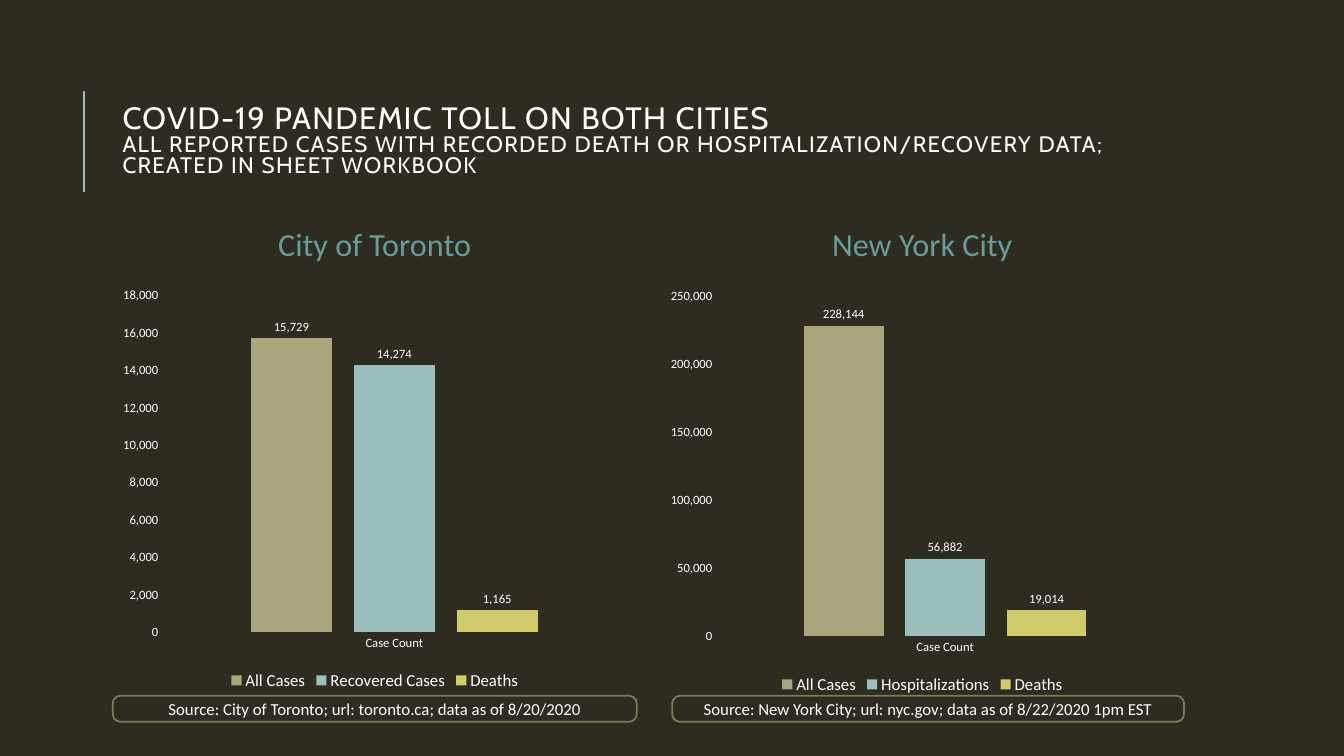
from dataclasses import dataclass

from lxml.etree import SubElement
from pptx import Presentation
from pptx.chart.data import CategoryChartData as Data
from pptx.dml.color import RGBColor as Rgb
from pptx.enum.chart import XL_CHART_TYPE as Kind
from pptx.enum.chart import XL_LABEL_POSITION as Spot
from pptx.enum.chart import XL_LEGEND_POSITION as Side
from pptx.enum.chart import XL_TICK_MARK as Tick
from pptx.enum.shapes import MSO_CONNECTOR as Link
from pptx.enum.shapes import MSO_SHAPE as Form
from pptx.enum.text import MSO_ANCHOR as Anchor
from pptx.enum.text import PP_ALIGN as Align
from pptx.oxml.ns import qn
from pptx.slide import Slide
from pptx.text.text import Font
from pptx.util import Cm, Pt

COLORS = {
    "back": "2E2B21",
    "text": "FFFFFF",
    "head": "689C9A",
    "frame": "7D7A5C",
    "sand": "A9A57C",
    "mist": "9CBEBD",
    "lime": "D2CB6C",
}
BARS = ("sand", "mist", "lime")
WIDTH = 13.21
COMMAS = "#,##0"


@dataclass
class Box:
    left: float
    top: float
    width: float
    height: float

    def lengths(self) -> tuple:
        return Cm(self.left), Cm(self.top), Cm(self.width), Cm(self.height)


@dataclass
class City:
    name: str
    left: float
    tall: float
    peak: int
    step: int
    counts: dict[str, int]
    source: str
    frame: Box


CITIES = [
    City("City of Toronto", 2.84, 10.44, 18000, 2000,
         {"All Cases": 15729, "Recovered Cases": 14274, "Deaths": 1165},
         "Source: City of Toronto; url: toronto.ca; data as of 8/20/2020",
         Box(2.84, 17.53, WIDTH, 0.66)),
    City("New York City", 16.64, 10.54, 250000, 50000,
         {"All Cases": 228144, "Hospitalizations": 56882, "Deaths": 19014},
         "Source: New York City; url: nyc.gov; data as of 8/22/2020 1pm EST",
         Box(16.94, 17.53, 12.9, 0.66)),
]


def tint(name: str) -> Rgb:
    return Rgb.from_string(COLORS[name])


def style(font: Font, size: float, color: str = "text", face: str = "Calibri") -> None:
    font.size = Pt(size)
    font.name = face
    font.bold = False
    font.color.rgb = tint(color)


def add_title(slide: Slide) -> None:
    frame = slide.shapes.add_textbox(*Box(2.84, 2.26, 27, 2.62).lengths()).text_frame
    frame.word_wrap = True
    frame.vertical_anchor = Anchor.MIDDLE
    para = frame.paragraphs[0]
    para.text = ("COVID-19 PANDEMIC TOLL ON BOTH CITIES\v"
                 "ALL REPORTED CASES WITH RECORDED DEATH OR "
                 "HOSPITALIZATION/RECOVERY DATA; CREATED IN SHEET WORKBOOK")
    para.line_spacing = 0.8
    for run, size in zip(para.runs, (22, 16)):
        style(run.font, size, face="Cabin")
        run.font._element.set("spc", "100")


def add_rule(slide: Slide) -> None:
    rule = slide.shapes.add_connector(Link.STRAIGHT, Cm(2.11), Cm(4.83), Cm(2.11), Cm(2.29))
    rule.line.color.rgb = tint("mist")
    rule.line.width = Pt(1.5)
    SubElement(rule._element.spPr, qn("a:effectLst"))


def add_head(slide: Slide, city: City) -> None:
    frame = slide.shapes.add_textbox(*Box(city.left, 5.05, WIDTH, 2.29).lengths()).text_frame
    frame.word_wrap = True
    frame.vertical_anchor = Anchor.MIDDLE
    frame.margin_left = frame.margin_right = Cm(0.38)
    para = frame.paragraphs[0]
    para.text = city.name
    para.alignment = Align.CENTER
    para.line_spacing = 0.9
    style(para.runs[0].font, 23, "head")


def add_source(slide: Slide, city: City) -> None:
    shape = slide.shapes.add_shape(Form.ROUNDED_RECTANGLE, *city.frame.lengths())
    shape.adjustments[0] = 0.3
    shape.shadow.inherit = False
    shape.fill.background()
    shape.line.color.rgb = tint("frame")
    shape.line.width = Pt(1.25)
    frame = shape.text_frame
    frame.word_wrap = True
    frame.vertical_anchor = Anchor.MIDDLE
    para = frame.paragraphs[0]
    para.text = city.source
    para.alignment = Align.CENTER
    style(para.runs[0].font, 12)


def add_bars(slide: Slide, city: City) -> None:
    data = Data(number_format=COMMAS)
    data.categories = ["Case Count"]
    for name, count in city.counts.items():
        data.add_series(name, [count])
    place = Box(city.left, 7.06, WIDTH, city.tall)
    chart = slide.shapes.add_chart(Kind.COLUMN_CLUSTERED, *place.lengths(), data).chart
    style(chart.font, 10)
    chart.has_title = False
    chart.has_legend = True
    chart.legend.position = Side.BOTTOM
    chart.legend.include_in_layout = False
    style(chart.legend.font, 12)
    for axis in (chart.category_axis, chart.value_axis):
        axis.major_tick_mark = axis.minor_tick_mark = Tick.NONE
        axis.has_major_gridlines = False
        axis.format.line.fill.background()
        style(axis.tick_labels.font, 9)
    scale = chart.value_axis
    scale.minimum_scale = 0
    scale.maximum_scale = city.peak
    scale.major_unit = city.step
    scale.tick_labels.number_format = COMMAS
    scale.tick_labels.number_format_is_linked = False
    plot = chart.plots[0]
    plot.gap_width = 219
    plot.overlap = -27
    plot.vary_by_categories = False
    for bar, color in zip(plot.series, BARS):
        bar.format.fill.solid()
        bar.format.fill.fore_color.rgb = tint(color)
        bar.invert_if_negative = False
        labels = bar.data_labels
        labels.show_value = True
        labels.number_format = COMMAS
        labels.number_format_is_linked = False
        labels.position = Spot.OUTSIDE_END
        style(labels.font, 9)


def main() -> None:
    deck = Presentation()
    deck.slide_width = Cm(33.87)
    deck.slide_height = Cm(19.05)
    slide = deck.slides.add_slide(deck.slide_layouts[6])
    slide.background.fill.solid()
    slide.background.fill.fore_color.rgb = tint("back")
    add_rule(slide)
    add_title(slide)
    for city in CITIES:
        add_head(slide, city)
        add_bars(slide, city)
        add_source(slide, city)
    deck.save("out.pptx")


if __name__ == "__main__":
    main()
